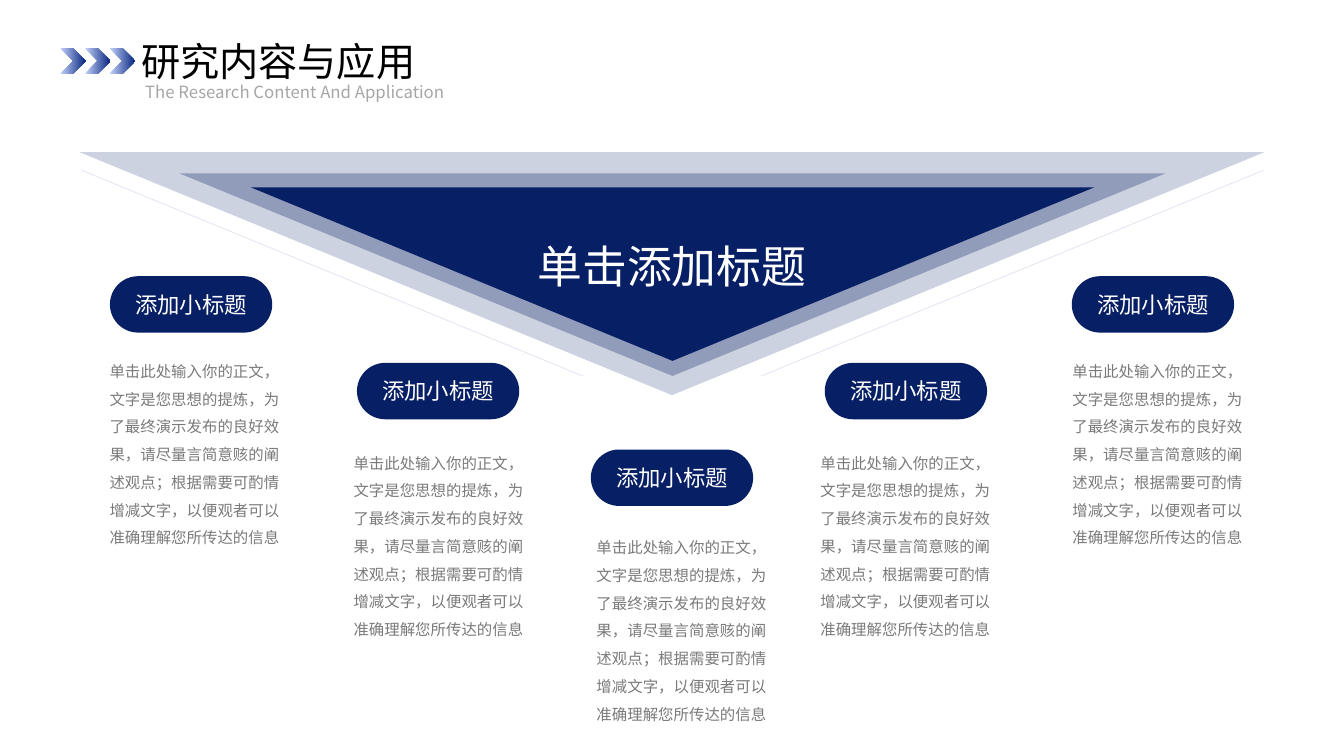
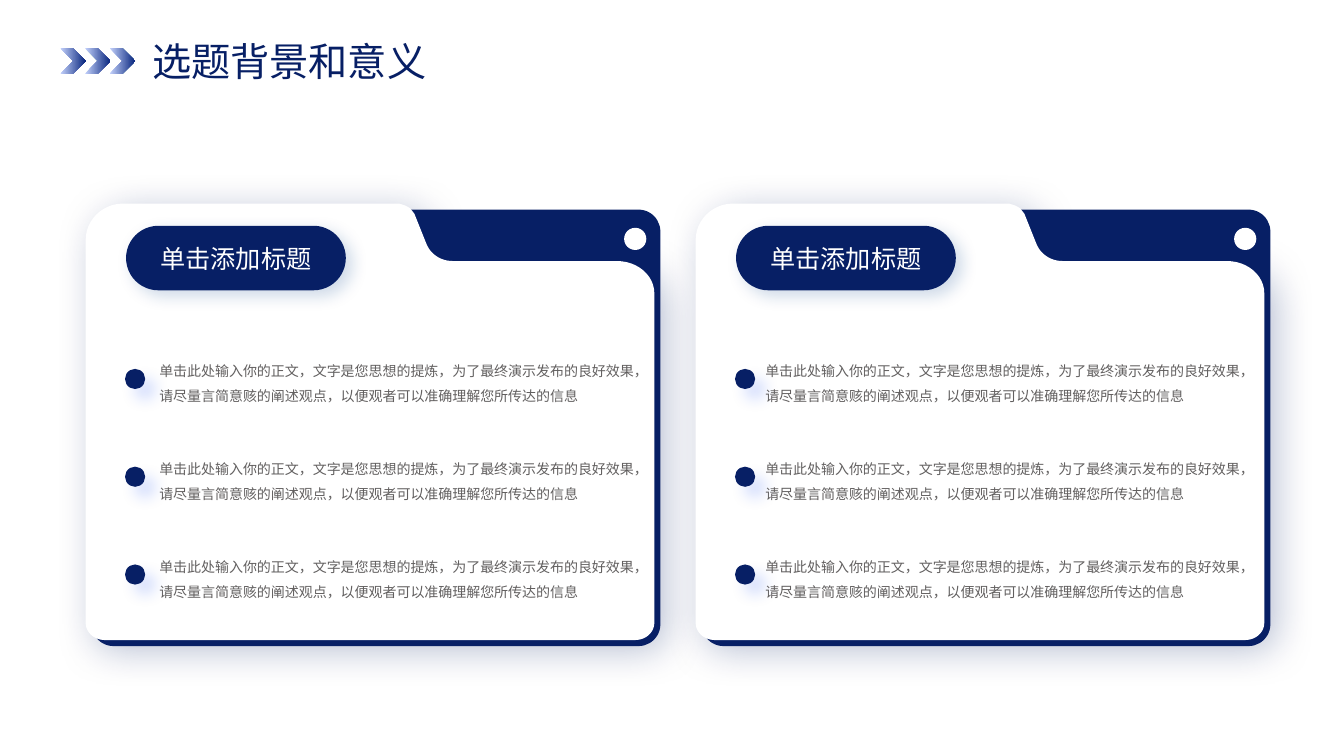
"""Build two slides: a research overview under a triangle and two folder cards."""
from dataclasses import dataclass
from typing import Optional

from lxml import etree
from pptx import Presentation
from pptx.dml.color import RGBColor
from pptx.enum.shapes import MSO_CONNECTOR, MSO_SHAPE
from pptx.enum.text import MSO_ANCHOR, MSO_AUTO_SIZE, PP_ALIGN
from pptx.oxml.ns import qn
from pptx.util import Inches, Pt

CHEVRON = MSO_SHAPE.CHEVRON
TRIANGLE = MSO_SHAPE.ISOSCELES_TRIANGLE
ROUNDED = MSO_SHAPE.ROUNDED_RECTANGLE
ELLIPSE = MSO_SHAPE.OVAL
STRAIGHT = MSO_CONNECTOR.STRAIGHT
LEFT = PP_ALIGN.LEFT
CENTER = PP_ALIGN.CENTER
TOP = MSO_ANCHOR.TOP
MIDDLE = MSO_ANCHOR.MIDDLE
NO_FIT = MSO_AUTO_SIZE.NONE

FONT = "Noto Sans CJK SC"
COLORS = {
    "navy": "071F65",
    "white": "FFFFFF",
    "black": "000000",
    "subtitle": "A6A6A6",
    "topic text": "595959",
    "card text": "3B3838",
    "chevron start": "C3D1FB",
    "chevron end": "09277F",
    "edge": "DFE2F0",
    "pill shadow": "0A438C",
    "dot shadow": "2254F4",
}
TITLE_ONLY, TWO_CONTENT = 5, 3
TOPIC_TEXT = (
    "单击此处输入你的正文，文字是您思想的提炼，为了最终演示发布的良好效果，"
    "请尽量言简意赅的阐述观点；根据需要可酌情增减文字，以便观者可以准确理解您所传达的信息"
)
CARD_TEXT = (
    "单击此处输入你的正文，文字是您思想的提炼，为了最终演示发布的良好效果，"
    "请尽量言简意赅的阐述观点，以便观者可以准确理解您所传达的信息"
)


@dataclass(frozen=True)
class Style:
    size: float
    color: str
    align: PP_ALIGN = LEFT
    line_spacing: Optional[float] = None
    alpha: int = 100


@dataclass(frozen=True)
class Shadow:
    color: str
    alpha: int
    blur: float
    distance: float
    angle: int


@dataclass(frozen=True)
class Topic:
    pill_left: float
    pill_top: float
    text_left: float
    text_top: float


@dataclass(frozen=True)
class Card:
    left: float
    list_left: float
    placeholder: int


@dataclass(frozen=True)
class Layer:
    left: float
    top: float
    width: float
    height: float
    alpha: int


LAYERS = [
    Layer(0.79, 1.51, 11.75, 2.41, 20),
    Layer(1.78, 1.72, 9.78, 2.01, 30),
    Layer(2.49, 1.86, 8.36, 1.72, 100),
]
TOPICS = [
    Topic(1.09, 2.74, 0.95, 3.45),
    Topic(3.54, 3.6, 3.37, 4.36),
    Topic(5.86, 4.46, 5.78, 5.2),
    Topic(8.18, 3.6, 8, 4.36),
    Topic(10.63, 2.74, 10.5, 3.45),
]
CARDS = [Card(0.85, 1.48, 1), Card(6.9, 7.49, 2)]
FOLDER_START = (3.11, 0)
FOLDER_OUTLINE = [
    (3.17, 0.02),
    (3.19, 0.03, 3.21, 0.04, 3.22, 0.05),
    (3.26, 0.1),
    (3.38, 0.4),
    (3.42, 0.5, 3.52, 0.57, 3.64, 0.57),
    (5.27, 0.57),
    (5.47, 0.57, 5.64, 0.71, 5.64, 0.89),
    (5.64, 4.16),
    (5.64, 4.25, 5.56, 4.33, 5.45, 4.33),
    (0.19, 4.33),
    (0.08, 4.33, 0, 4.25, 0, 4.16),
    (0, 0.36),
    (0, 0.17, 0.16, 0, 0.37, 0),
]
FOLDER_SHADOW = Shadow("navy", 30, 29, 10, 40)
PILL_SHADOW = Shadow("pill shadow", 20, 12, 6, 45)
DOT_SHADOW = Shadow("dot shadow", 20, 11, 10, 45)
PILL_LABEL = Style(16, "white", CENTER)
CARD_LABEL = Style(18, "white", CENTER)
HEADLINE = Style(32, "white", CENTER)
SUBTITLE = Style(12, "subtitle")
TOPIC_BODY = Style(11, "topic text", CENTER, 1.5, 80)
CARD_BODY = Style(10, "card text", LEFT, 1.5, 80)


def rgb(name: str) -> RGBColor:
    return RGBColor.from_string(COLORS[name])


def set_alpha(parent, percent: int) -> None:
    if percent < 100:
        color = next(parent.iter(qn("a:srgbClr")))
        etree.SubElement(color, qn("a:alpha"), val=str(percent * 1000))


def write(para, text: str, style: Style) -> None:
    para.alignment = style.align
    if style.line_spacing:
        para.line_spacing = style.line_spacing
    span = para.add_run()
    span.text = text
    span.font.size = Pt(style.size)
    span.font.color.rgb = rgb(style.color)
    span.font.name = FONT
    properties = span.font._element if hasattr(span.font, "_element") else span._r.rPr
    set_alpha(properties, style.alpha)
    east_asian = etree.Element(qn("a:ea"), typeface=FONT)
    properties.find(qn("a:latin")).addnext(east_asian)


def place(box, left: float, top: float, width: float, height: float) -> None:
    box.left, box.top = Inches(left), Inches(top)
    box.width, box.height = Inches(width), Inches(height)


def set_frame(box, side: float = 0.1, wrap: bool = True, anchor: MSO_ANCHOR = TOP):
    frame = box.text_frame
    frame.word_wrap = wrap
    frame.auto_size = NO_FIT
    frame.vertical_anchor = anchor
    frame.margin_left = frame.margin_right = Inches(side)
    frame.margin_top = frame.margin_bottom = Inches(0.05)
    return frame


def add_text(page, left: float, top: float, width: float, height: float,
             text: str, style: Style, side: float = 0.1, wrap: bool = True) -> None:
    box = page.shapes.add_textbox(Inches(left), Inches(top), Inches(width), Inches(height))
    write(set_frame(box, side, wrap).paragraphs[0], text, style)


def finish(shape, color: str, shadow: Optional[Shadow] = None, alpha: int = 100) -> None:
    shape.fill.solid()
    shape.fill.fore_color.rgb = rgb(color)
    set_alpha(shape.element.spPr, alpha)
    shape.line.fill.background()
    shape.shadow.inherit = False
    if shadow:
        effects = shape.element.spPr.find(qn("a:effectLst"))
        outer = etree.SubElement(
            effects, qn("a:outerShdw"), blurRad=str(Pt(shadow.blur)),
            dist=str(Pt(shadow.distance)), dir=str(shadow.angle * 60000),
            algn="tl", rotWithShape="0")
        etree.SubElement(outer, qn("a:srgbClr"), val=COLORS[shadow.color])
        set_alpha(outer, shadow.alpha)


def add_shape(page, kind: MSO_SHAPE, left: float, top: float, width: float, height: float,
              color: str, shadow: Optional[Shadow] = None, alpha: int = 100):
    shape = page.shapes.add_shape(
        kind, Inches(left), Inches(top), Inches(width), Inches(height))
    finish(shape, color, shadow, alpha)
    return shape


def add_pill(page, left: float, top: float, width: float, height: float,
             text: str, style: Style, shadow: Optional[Shadow] = None) -> None:
    pill = add_shape(page, ROUNDED, left, top, width, height, "navy", shadow)
    pill.adjustments[0] = 0.5
    write(set_frame(pill, 0, False, MIDDLE).paragraphs[0], text, style)


def add_page(deck, layout: int, title: str, left: float, color: str):
    page = deck.slides.add_slide(deck.slide_layouts[layout])
    place(page.shapes.title, left, 0.32, 3.47, 0.57)
    write(set_frame(page.shapes.title, 0).paragraphs[0], title, Style(28, color))
    for index in range(3):
        chevron = add_shape(page, CHEVRON, 0.6 + 0.245 * index, 0.48, 0.25, 0.25, "navy")
        chevron.fill.gradient()
        chevron.fill.gradient_angle = 0
        for stop, name in zip(chevron.fill.gradient_stops, ("chevron start", "chevron end")):
            stop.color.rgb = rgb(name)
    return page


def add_edge(page, start_x: float, end_x: float) -> None:
    edge = page.shapes.add_connector(
        STRAIGHT, Inches(start_x), Inches(3.73), Inches(end_x), Inches(1.69))
    edge.line.color.rgb = rgb("edge")
    edge.line.width = Pt(0.5)
    etree.SubElement(edge.element.spPr, qn("a:effectLst"))


def folder_points(left: float, top: float) -> list[tuple[int, int]]:
    points = [FOLDER_START]
    for segment in FOLDER_OUTLINE:
        if len(segment) == 2:
            points.append(segment)
            continue
        knots = [points[-1], segment[:2], segment[2:4], segment[4:]]
        for step in range(1, 13):
            t = step / 12
            weights = ((1 - t) ** 3, 3 * t * (1 - t) ** 2, 3 * t * t * (1 - t), t ** 3)
            points.append(tuple(
                sum(w * knot[axis] for w, knot in zip(weights, knots)) for axis in (0, 1)))
    return [(Inches(left + x), Inches(top + y)) for x, y in points]


def add_card(page, card: Card) -> None:
    back = add_shape(page, ROUNDED, card.left + 0.06, 2.08, 5.64, 4.33, "navy")
    back.adjustments[0] = 0.05
    start, *outline = folder_points(card.left, 2.02)
    builder = page.shapes.build_freeform(*start)
    builder.add_line_segments(outline, close=True)
    finish(builder.convert_to_shape(), "white", FOLDER_SHADOW)
    add_pill(page, card.left + 0.4, 2.24, 2.18, 0.64, "单击添加标题", CARD_LABEL, PILL_SHADOW)
    add_shape(page, ELLIPSE, card.left + 5.34, 2.26, 0.22, 0.22, "white")

    box = page.placeholders[card.placeholder]
    place(box, card.list_left, 3.46, 4.97, 2.53)
    frame = set_frame(box)
    for index in range(3):
        add_shape(page, ELLIPSE, card.left + 0.39, 3.66 + 0.97 * index, 0.2, 0.2,
                  "navy", DOT_SHADOW)
        para = frame.add_paragraph() if index else frame.paragraphs[0]
        properties = para._p.get_or_add_pPr()
        properties.set("marL", "0")
        properties.set("indent", "0")
        etree.SubElement(properties, qn("a:buNone"))
        para.space_before = Pt(34 if index else 0)
        write(para, CARD_TEXT, CARD_BODY)
    box.element.getparent().append(box.element)


def build_research(deck) -> None:
    page = add_page(deck, TITLE_ONLY, "研究内容与应用", 1.4, "black")
    add_text(page, 1.44, 0.76, 4.11, 0.3, "The Research Content And Application", SUBTITLE, 0)
    for layer in LAYERS:
        triangle = add_shape(page, TRIANGLE, layer.left, layer.top, layer.width,
                             layer.height, "navy", alpha=layer.alpha)
        triangle.rotation = 180
    add_edge(page, 5.78, 0.81)
    add_edge(page, 7.55, 12.53)
    add_text(page, 5.22, 2.32, 2.89, 0.64, "单击添加标题", HEADLINE, wrap=False)
    for topic in TOPICS:
        add_pill(page, topic.pill_left, topic.pill_top, 1.61, 0.56, "添加小标题", PILL_LABEL)
        add_text(page, topic.text_left, topic.text_top, 1.96, 2.02, TOPIC_TEXT, TOPIC_BODY)


def build_background(deck) -> None:
    page = add_page(deck, TWO_CONTENT, "选题背景和意义", 1.51, "navy")
    for card in CARDS:
        add_card(page, card)


def main() -> None:
    deck = Presentation()
    deck.slide_width, deck.slide_height = Inches(13.33), Inches(7.5)
    build_research(deck)
    build_background(deck)
    deck.save("out.pptx")


if __name__ == "__main__":
    main()
